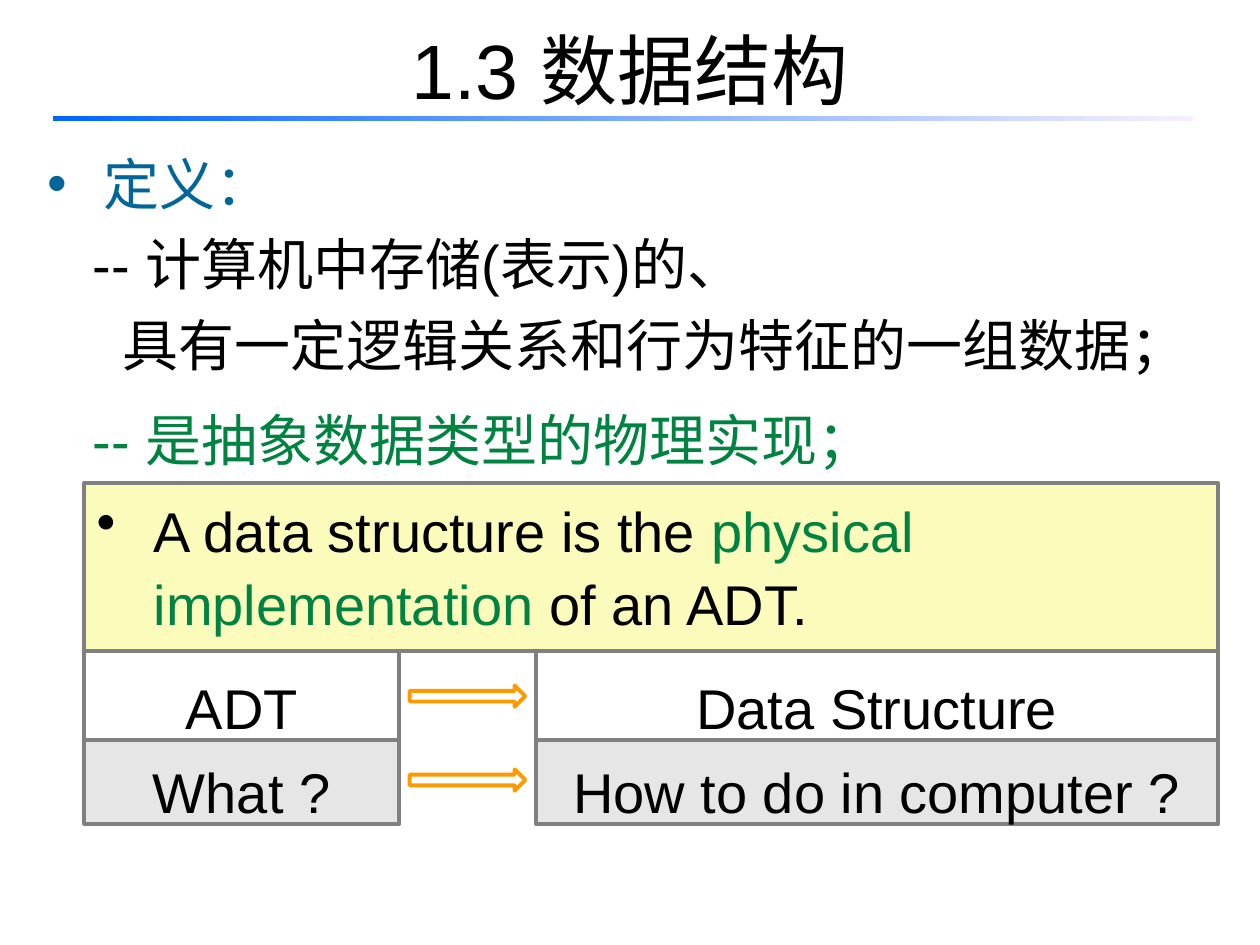
from pptx import Presentation
from pptx import util as u
from pptx.dml.color import RGBColor
from pptx.enum import shapes, text
from pptx.oxml.ns import qn
from lxml import etree

BLACK, GREEN, BLUE = "000000", "008241", "006699"
WHITE, GREY, SILVER, YELLOW, ORANGE = "FFFFFF", "808080", "E6E6E6", "FBFBBB", "FF9900"
TABLE_LEFT, TABLE_TOP, TABLE_WIDTH = 1.7, 9.74, 22.86
ROW_HEIGHT, ROW_PITCH = 1.8, 1.69
NARROW, WIDE = 6.35, 13.76
WIDE_LEFT = TABLE_LEFT + TABLE_WIDTH - WIDE


def colour(value):
    return RGBColor.from_string(value)


def place(shape, left, top, width, height):
    shape.left, shape.top = u.Cm(left), u.Cm(top)
    shape.width, shape.height = u.Cm(width), u.Cm(height)


def set_frame(shape, anchor):
    frame = shape.text_frame
    frame.word_wrap = True
    frame.auto_size = text.MSO_AUTO_SIZE.NONE
    frame.vertical_anchor = anchor
    return frame


def write(para, spans, size=32):
    for words, value in spans:
        span = para.add_run()
        span.text = words
        span.font.name = "Arial"
        span.font.size = u.Pt(size)
        span.font.color.rgb = colour(value)


def space(para, lines, before=0):
    para.line_spacing = lines
    para.space_before = u.Pt(before)


def set_bullet(para, margin, mark=None):
    properties = para._p.get_or_add_pPr()
    properties.set("marL", str(u.Cm(margin)))
    properties.set("indent", str(-u.Cm(margin) if mark else 0))
    if mark:
        etree.SubElement(properties, qn("a:buChar")).set("char", mark)
    else:
        etree.SubElement(properties, qn("a:buNone"))


def add_block(page, kind, area, fill, line):
    block = page.shapes.add_shape(kind, 0, 0, 0, 0)
    place(block, *area)
    block.shadow.inherit = False
    block.fill.solid()
    block.fill.fore_color.rgb = colour(fill)
    block.line.color.rgb = colour(line)
    block.line.width = u.Pt(2.25)
    return block


def add_title(page):
    title = page.shapes.title
    place(title, 1.27, -0.2, 22.86, 3.18)
    para = set_frame(title, text.MSO_ANCHOR.MIDDLE).paragraphs[0]
    para.alignment = text.PP_ALIGN.CENTER
    write(para, [("1.3 数据结构", BLACK)], 44)


def add_rule(page):
    rule = page.shapes.add_shape(shapes.MSO_SHAPE.RECTANGLE, 0, 0, 0, 0)
    place(rule, 1.07, 2.34, 22.99, 0.1)
    rule.shadow.inherit = False
    rule.line.fill.background()
    rule.fill.gradient()
    rule.fill.gradient_angle = 0
    for stop, value in zip(rule.fill.gradient_stops, ("0066FF", "F7EFFF")):
        stop.color.rgb = colour(value)


def add_definition(page):
    body = page.placeholders[1]
    place(body, 0.71, 2.54, 24.05, 6.98)
    frame = set_frame(body, text.MSO_ANCHOR.TOP)
    lines = [
        ("定义：", BLUE, 1.13, "•", 1.25, 0),
        ("-- 计算机中存储(表示)的、", BLACK, 0.9, None, 1.2, 0),
        ("具有一定逻辑关系和行为特征的一组数据；", BLACK, 1.5, None, 1.2, 0),
        ("-- 是抽象数据类型的物理实现；", GREEN, 0.9, None, 1.2, 8),
    ]
    for index, (words, value, margin, mark, spacing, before) in enumerate(lines):
        para = frame.add_paragraph() if index else frame.paragraphs[0]
        space(para, spacing, before)
        set_bullet(para, margin, mark)
        write(para, [(words, value)])


def add_statement(page):
    area = (TABLE_LEFT, TABLE_TOP, TABLE_WIDTH, 3.39)
    block = add_block(page, shapes.MSO_SHAPE.RECTANGLE, area, YELLOW, GREY)
    para = set_frame(block, text.MSO_ANCHOR.TOP).paragraphs[0]
    para.alignment = text.PP_ALIGN.LEFT
    space(para, 1.1)
    set_bullet(para, 1.15, "•")
    write(para, [("A data structure is the ", BLACK),
                 ("physical implementation ", GREEN),
                 ("of an ADT.", BLACK)])


def add_cell(page, left, top, width, words, fill):
    area = (left, top, width, ROW_HEIGHT)
    block = add_block(page, shapes.MSO_SHAPE.RECTANGLE, area, fill, GREY)
    para = set_frame(block, text.MSO_ANCHOR.TOP).paragraphs[0]
    para.alignment = text.PP_ALIGN.CENTER
    space(para, 1.25, 5)
    write(para, [(words, BLACK)])


def add_comparison(page):
    rows = [("What ?", "How to do in computer ?", SILVER, 1),
            ("ADT", "Data Structure", WHITE, 0)]
    for concept, realisation, fill, row in rows:
        top = 13.12 + row * ROW_PITCH
        add_cell(page, TABLE_LEFT, top, NARROW, concept, fill)
        add_cell(page, WIDE_LEFT, top, WIDE, realisation, fill)
        area = (8.26, top + 0.7, 2.33, 0.43)
        add_block(page, shapes.MSO_SHAPE.RIGHT_ARROW, area, WHITE, ORANGE)


def main():
    deck = Presentation()
    deck.slide_width, deck.slide_height = u.Cm(25.4), u.Cm(19.05)
    page = deck.slides.add_slide(deck.slide_layouts[1])
    add_title(page)
    add_rule(page)
    add_definition(page)
    add_statement(page)
    add_comparison(page)
    deck.save("out.pptx")


if __name__ == "__main__":
    main()
